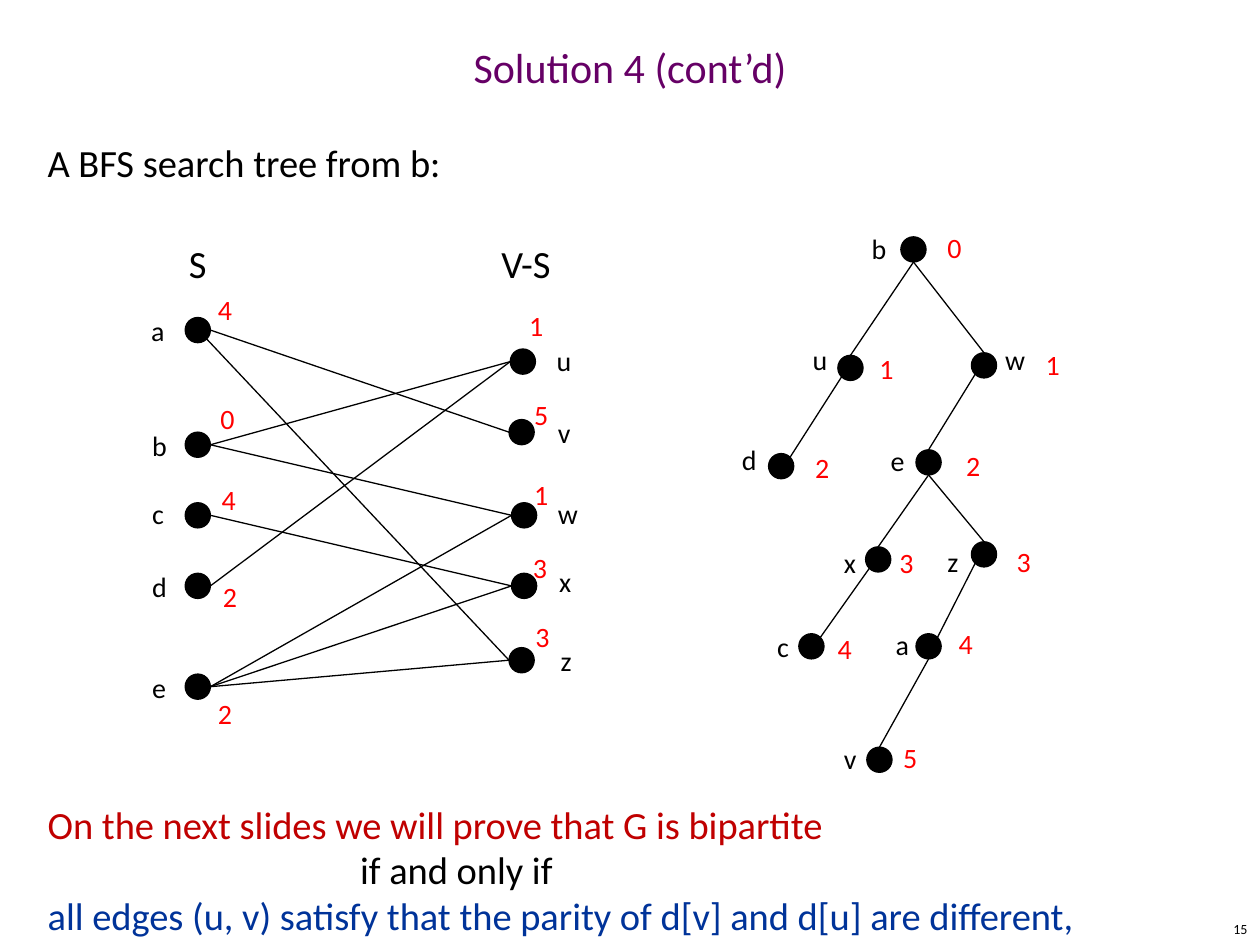
import pptx
import pptx.util
import pptx.dml.color
import pptx.enum.shapes
import pptx.enum.text
import pptx.oxml
import pptx.oxml.ns

COLUMNS, ROWS = 1000, 750
CELL = pptx.util.Inches(10) // COLUMNS
FONT = "Calibri"
COLORS = {"black": "000000", "title": "660066", "distance": "FF0000",
          "claim": "C00000", "condition": "003399"}
ALIGN = pptx.enum.text.PP_ALIGN
DOT = 20
LABEL_HEIGHT = 37
LABEL_WIDTHS = {"c": 30, "v": 30, "x": 30, "z": 29, "w": 36}
DIGIT_WIDTH = 32

# fmt: off
TREE_NODES = {
    "a": ((727, 503), (701, 493), "4", (751, 492)),
    "b": ((715, 188), (682, 179), "0", (742, 178)),
    "c": ((634, 503), (607, 495), "4", (655, 496)),
    "d": ((610, 360), (579, 346), "2", (637, 353)),
    "e": ((727, 357), (697, 347), "2", (757, 351)),
    "u": ((665, 282), (635, 267), "1", (688, 274)),
    "v": ((688, 593), (660, 584), "5", (707, 583)),
    "w": ((771, 280), (788, 267), "1", (820, 271)),
    "x": ((687, 434), (660, 428), "3", (704, 428)),
    "z": ((771, 430), (742, 427), "3", (797, 427)),
}
TREE_EDGES = [
    ("a", "bottom", "v", "top"),
    ("a", "top right", "z", "bottom left"),
    ("b", "bottom", "u", "top"),
    ("b", "bottom", "w", "top"),
    ("c", "top right", "x", "bottom left"),
    ("e", "bottom", "x", "top"),
    ("d", "top right", "u", "bottom left"),
    ("e", "top", "w", "bottom left"),
    ("e", "bottom", "z", "top"),
]
GRAPH_NODES = {
    "a": ((147, 252), (110, 244), "4", (163, 227)),
    "b": ((147, 343), (111, 335), "0", (165, 314)),
    "c": ((147, 399), (111, 389), "4", (166, 378)),
    "d": ((147, 455), (111, 447), "2", (167, 455)),
    "e": ((147, 535), (111, 527), "2", (163, 548)),
    "u": ((405, 277), (432, 268), "1", (410, 240)),
    "v": ((404, 333), (433, 325), "5", (414, 311)),
    "w": ((406, 399), (433, 389), "1", (414, 374)),
    "x": ((406, 455), (434, 443), "3", (413, 432)),
    "z": ((404, 514), (435, 506), "3", (415, 487)),
}
GRAPH_EDGES = [("a", "bottom right", "z", "left")] + [
    (start, "right", end, "left")
    for start, end in ("av", "bu", "bw", "cx", "ex", "du", "ew", "ez")
]
# fmt: on
SITES = {"top": (0.5, 0), "bottom": (0.5, 1), "left": (0, 0.5), "right": (1, 0.5),
         "top right": (0.85, 0.15), "bottom left": (0.15, 0.85),
         "bottom right": (0.85, 0.85)}
HEADINGS = [("S", 140), ("V-S", 388)]
CLAIM = [("On the next slides we will prove that G is bipartite", "claim", 0),
         ("if and only if", "black", 248),
         ("all edges (u, v) satisfy that the parity of d[v] and d[u] are different,",
          "condition", 0)]


def cells(*counts):
    return [round(count * CELL) for count in counts]


def color(name):
    return pptx.dml.color.RGBColor.from_string(COLORS[name])


def add_text(page, place, lines, size, align=ALIGN.LEFT, spacing=None,
             wrap=True, middle=False):
    box = page.shapes.add_textbox(*cells(*place))
    frame = box.text_frame
    frame.word_wrap = wrap
    if middle:
        frame.vertical_anchor = pptx.enum.text.MSO_ANCHOR.MIDDLE
    for number, (text, tone, indent) in enumerate(lines):
        para = frame.add_paragraph() if number else frame.paragraphs[0]
        para.text = text
        para.alignment = align
        if spacing:
            para.line_spacing = spacing
        if indent:
            para._p.get_or_add_pPr().set("marL", str(indent * CELL))
        para.font.name = FONT
        para.font.size = pptx.util.Pt(size)
        para.font.color.rgb = color(tone)


def add_dot(page, corner):
    dot = page.shapes.add_shape(pptx.enum.shapes.MSO_SHAPE.OVAL,
                                *cells(*corner, DOT, DOT))
    dot.shadow.inherit = False
    dot.fill.solid()
    dot.fill.fore_color.rgb = color("black")
    dot.line.color.rgb = color("black")
    dot.line.width = pptx.util.Pt(0.75)


def site_point(corner, site):
    return [start + DOT * share for start, share in zip(corner, SITES[site])]


def add_edge(page, start, end):
    edge = page.shapes.add_connector(pptx.enum.shapes.MSO_CONNECTOR.STRAIGHT,
                                     *cells(*start, *end))
    edge.line.color.rgb = color("black")
    edge.line.width = pptx.util.Pt(0.75)
    edge._element.spPr.append(pptx.oxml.parse_xml(
        "<a:effectLst %s/>" % pptx.oxml.ns.nsdecls("a")))


def add_graph(page, nodes, edges):
    for corner, *_ in nodes.values():
        add_dot(page, corner)
    for start, start_site, end, end_site in edges:
        add_edge(page, site_point(nodes[start][0], start_site),
                 site_point(nodes[end][0], end_site))
    for name, (_, name_at, distance, distance_at) in nodes.items():
        width = LABEL_WIDTHS.get(name, DIGIT_WIDTH)
        add_text(page, (*name_at, width, LABEL_HEIGHT),
                 [(name, "black", 0)], 16, wrap=False)
        add_text(page, (*distance_at, DIGIT_WIDTH, LABEL_HEIGHT),
                 [(distance, "distance", 0)], 16, wrap=False)


def main():
    deck = pptx.Presentation()
    deck.slide_width, deck.slide_height = cells(COLUMNS, ROWS)
    page = deck.slides.add_slide(deck.slide_layouts[6])
    body_spacing = pptx.util.Pt(26)

    add_text(page, (0, 33, COLUMNS, 50), [("Solution 4 (cont’d)", "title", 0)], 24,
             align=ALIGN.CENTER, spacing=0.7, middle=True)
    add_text(page, (792, 725, 208, 25), [("15", "black", 0)], 8,
             align=ALIGN.RIGHT, middle=True)
    add_text(page, (28, 106, 944, 65), [("A BFS search tree from b:", "black", 0)], 22,
             spacing=body_spacing)
    add_graph(page, TREE_NODES, TREE_EDGES)
    add_graph(page, GRAPH_NODES, GRAPH_EDGES)
    for heading, left in HEADINGS:
        add_text(page, (left, 186, 72, 47), [(heading, "black", 0)], 22)
    add_text(page, (28, 631, 944, 112), CLAIM, 22, spacing=body_spacing)
    deck.save("out.pptx")


if __name__ == "__main__":
    main()
